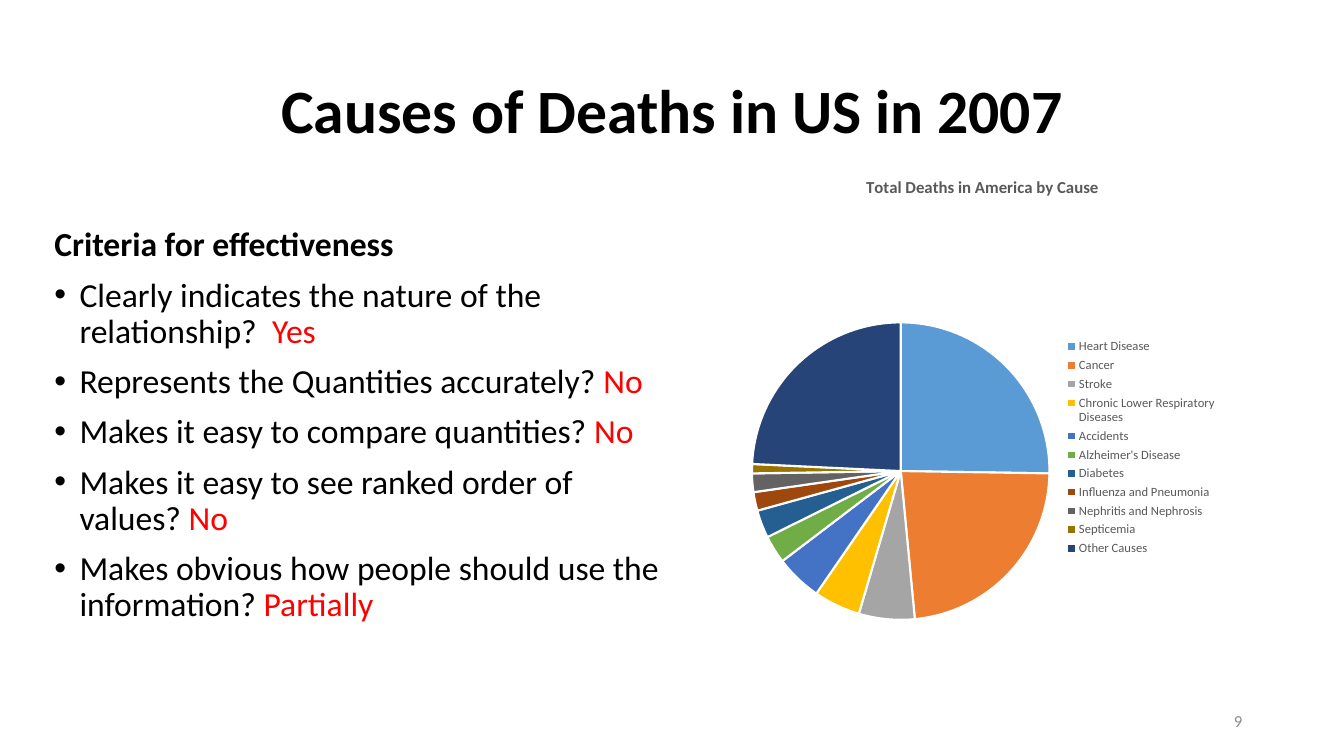
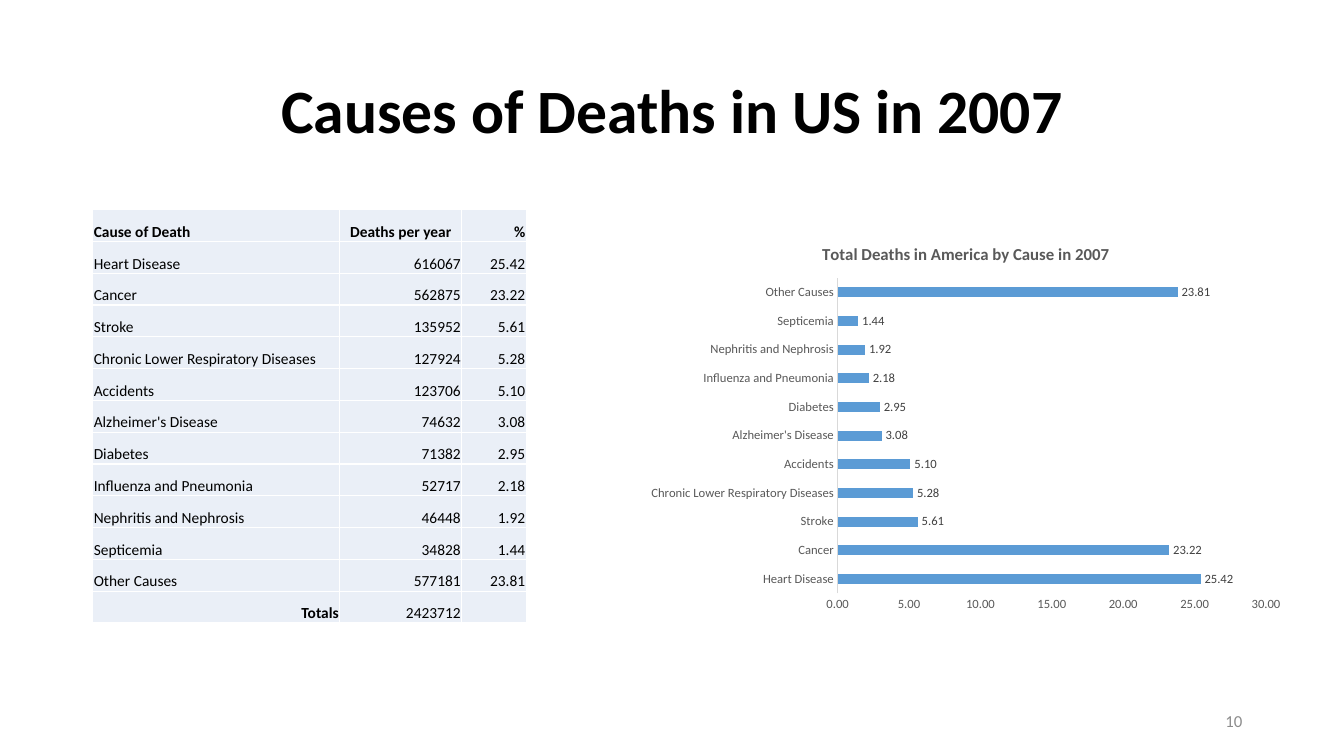
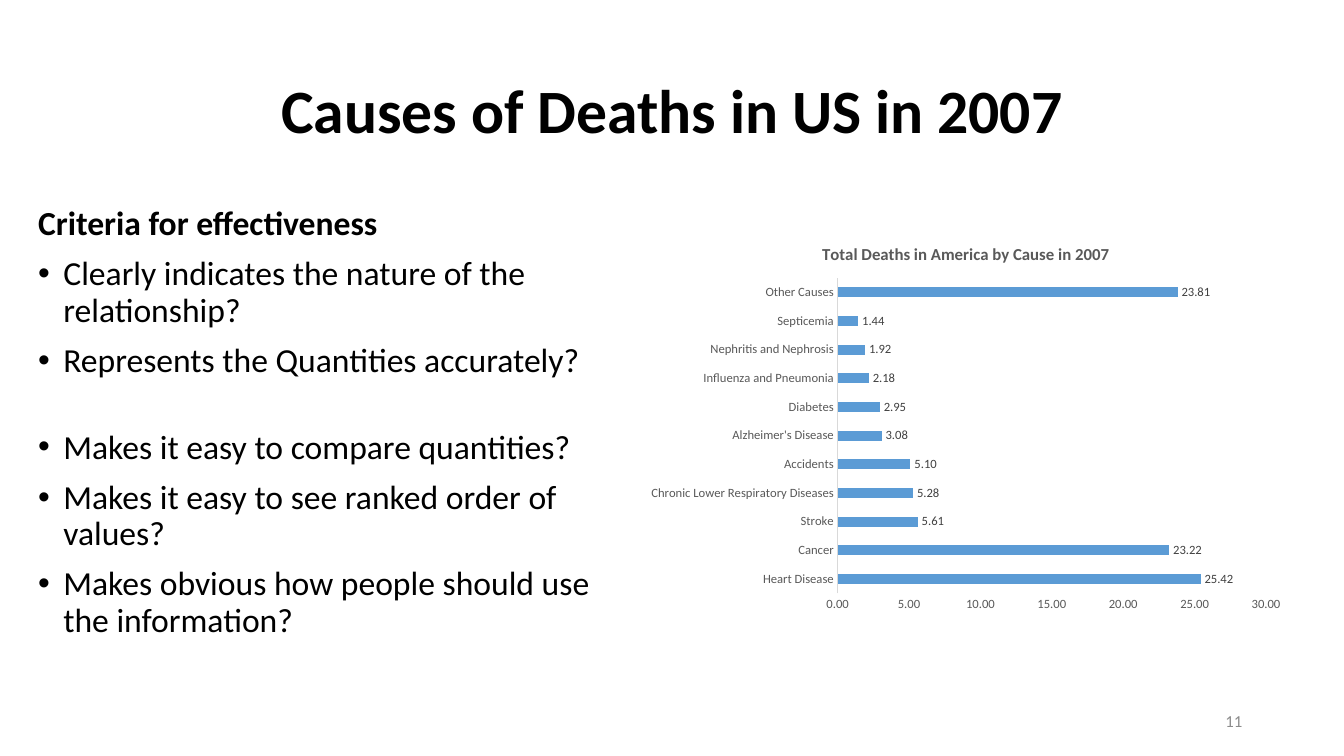
from dataclasses import dataclass

from lxml import etree
from pptx import Presentation
from pptx.chart.data import CategoryChartData
from pptx.dml.color import RGBColor
from pptx.enum.chart import XL_CHART_TYPE, XL_LABEL_POSITION, XL_LEGEND_POSITION, XL_TICK_MARK
from pptx.enum.text import MSO_ANCHOR, MSO_AUTO_SIZE, PP_ALIGN
from pptx.oxml.ns import qn
from pptx.util import Inches, Pt

PIE, BAR = XL_CHART_TYPE.PIE, XL_CHART_TYPE.BAR_CLUSTERED
OUTER = XL_LABEL_POSITION.OUTSIDE_END
SIDE = XL_LEGEND_POSITION.RIGHT
NO_TICK = XL_TICK_MARK.NONE
MIDDLE, BOTTOM = MSO_ANCHOR.MIDDLE, MSO_ANCHOR.BOTTOM
NO_FIT = MSO_AUTO_SIZE.NONE
LEFT, CENTER, RIGHT = PP_ALIGN.LEFT, PP_ALIGN.CENTER, PP_ALIGN.RIGHT


@dataclass(frozen=True)
class Theme:
    face: str = "Calibri"
    ink: str = "000000"
    reply: str = "FF0000"
    page: str = "8C8C8C"
    gray: str = "595959"
    label: str = "404040"
    rule: str = "D9D9D9"
    white: str = "FFFFFF"
    cell: str = "EAEFF7"
    bar: str = "5B9BD5"
    slices: tuple = ("5B9BD5", "ED7D31", "A5A5A5", "FFC000", "4472C4", "70AD47",
                     "255E91", "9E480E", "636363", "997300", "264478")
    title: int = 44
    body: int = 24
    head: int = 12
    foot: int = 12
    grid: int = 11
    chart: int = 10
    small: int = 9


THEME = Theme()
HEAD = "Causes of Deaths in US in 2007"
CAUSES = [
    ("Heart Disease", 616067, 25.42),
    ("Cancer", 562875, 23.22),
    ("Stroke", 135952, 5.61),
    ("Chronic Lower Respiratory Diseases", 127924, 5.28),
    ("Accidents", 123706, 5.10),
    ("Alzheimer's Disease", 74632, 3.08),
    ("Diabetes", 71382, 2.95),
    ("Influenza and Pneumonia", 52717, 2.18),
    ("Nephritis and Nephrosis", 46448, 1.92),
    ("Septicemia", 34828, 1.44),
    ("Other Causes", 577181, 23.81),
]
SHARES = [share for _, _, share in CAUSES]
TESTS = [
    "Clearly indicates the nature of the relationship?",
    "Represents the Quantities accurately?",
    "Makes it easy to compare quantities?",
    "Makes it easy to see ranked order of values?",
    "Makes obvious how people should use the information?",
]
REPLIES = [" Yes", "No", "No", "No", "Partially"]


def apply(item, **values):
    for key, value in values.items():
        setattr(item, key, value)


def style(font, size, color, bold=False):
    apply(font, name=THEME.face, size=Pt(size), bold=bold)
    font.color.rgb = RGBColor.from_string(color)


def paint(fill, color):
    fill.solid()
    fill.fore_color.rgb = RGBColor.from_string(color)


def write(para, text, size, color, bold=False):
    run = para.add_run()
    run.text = text
    style(run.font, size, color, bold)


def place(shape, box):
    sides = ("left", "top", "width", "height")
    apply(shape, **dict(zip(sides, map(Inches, box))))


def add_page(deck, number):
    slide = deck.slides.add_slide(deck.slide_layouts[5])
    title = slide.shapes.title
    place(title, (0.92, 0.4, 11.5, 1.45))
    frame = title.text_frame
    apply(frame, vertical_anchor=MIDDLE, auto_size=NO_FIT, word_wrap=True)
    para = frame.paragraphs[0]
    apply(para, alignment=CENTER, line_spacing=0.9)
    write(para, HEAD, THEME.title, THEME.ink, True)
    frame = add_text(slide, (9.42, 6.95, 3, 0.4))
    frame.vertical_anchor = MIDDLE
    para = frame.paragraphs[0]
    para.alignment = RIGHT
    write(para, str(number), THEME.foot, THEME.page)
    return slide


def add_text(slide, box):
    frame = slide.shapes.add_textbox(*map(Inches, box)).text_frame
    frame.word_wrap = True
    return frame


def add_bullet(para):
    props = para._p.get_or_add_pPr()
    apply_xml = {"marL": Inches(0.25), "indent": Inches(-0.25)}
    for key, value in apply_xml.items():
        props.set(key, str(value))
    etree.SubElement(props, qn("a:buFont"), typeface="Arial")
    etree.SubElement(props, qn("a:buChar"), char="•")


def add_tests(slide, box, replies=None, split=None, gap=None):
    frame = add_text(slide, box)
    para = frame.paragraphs[0]
    para.line_spacing = 0.9
    write(para, "Criteria for effectiveness", THEME.body, THEME.ink, True)
    for i, test in enumerate(TESTS):
        para = frame.add_paragraph()
        add_bullet(para)
        apply(para, line_spacing=0.9, space_before=Pt(10))
        if i == gap:
            para.space_after = Pt(26)
        if i == split:
            start, test = test.rsplit(" ", 1)
            write(para, start + " ", THEME.body, THEME.ink)
            para.add_line_break()
        write(para, test + " " if replies else test, THEME.body, THEME.ink)
        if replies:
            write(para, replies[i], THEME.body, THEME.reply)


def add_chart(slide, box, kind, title, values, form):
    data = CategoryChartData(number_format=form)
    data.categories = [cause for cause, _, _ in CAUSES]
    data.add_series("Series 1", values)
    chart = slide.shapes.add_chart(kind, *map(Inches, box), data).chart
    style(chart.font, THEME.chart, THEME.ink)
    chart.has_title = True
    chart.chart_title.include_in_layout = False
    para = chart.chart_title.text_frame.paragraphs[0]
    write(para, title, THEME.head, THEME.gray, True)
    return chart


def add_pie(slide, box):
    chart = add_chart(slide, box, PIE, "Total Deaths in America by Cause",
                      [round(share) for share in SHARES], "0")
    chart.has_legend = True
    apply(chart.legend, position=SIDE, include_in_layout=False)
    style(chart.legend.font, THEME.small, THEME.gray)
    points = chart.plots[0].series[0].points
    for i, color in enumerate(THEME.slices):
        look = points[i].format
        paint(look.fill, color)
        paint(look.line.fill, THEME.white)
        look.line.width = Pt(1.5)


def add_bars(slide, box):
    chart = add_chart(slide, box, BAR, "Total Deaths in America by Cause in 2007",
                      SHARES, "0.00")
    chart.has_legend = False
    plot = chart.plots[0]
    apply(plot, gap_width=182, vary_by_categories=False, has_data_labels=True)
    paint(plot.series[0].format.fill, THEME.bar)
    labels = plot.data_labels
    apply(labels, show_value=True, position=OUTER,
          number_format="0.00", number_format_is_linked=False)
    style(labels.font, THEME.small, THEME.label)
    for axis in (chart.category_axis, chart.value_axis):
        apply(axis, major_tick_mark=NO_TICK, minor_tick_mark=NO_TICK,
              has_major_gridlines=False)
        style(axis.tick_labels.font, THEME.small, THEME.gray)
    line = chart.category_axis.format.line
    paint(line.fill, THEME.rule)
    line.width = Pt(0.75)
    axis = chart.value_axis
    apply(axis, minimum_scale=0, maximum_scale=30, major_unit=5)
    apply(axis.tick_labels, number_format="0.00", number_format_is_linked=False)
    axis.format.line.fill.background()


def add_edges(cell):
    props = cell._tc.get_or_add_tcPr()
    for i, side in enumerate(("lnL", "lnR", "lnT", "lnB")):
        line = etree.Element(qn("a:" + side), w=str(Pt(1)))
        fill = etree.SubElement(line, qn("a:solidFill"))
        etree.SubElement(fill, qn("a:srgbClr"), val=THEME.white)
        props.insert(i, line)


def add_grid(slide, box):
    rows = [("Cause of Death", "Deaths per year", "%")]
    rows += [(cause, str(count), f"{share:.2f}") for cause, count, share in CAUSES]
    rows.append(("Totals", str(sum(count for _, count, _ in CAUSES)), ""))
    last = len(rows) - 1
    table = slide.shapes.add_table(len(rows), 3, *map(Inches, box)).table
    apply(table, first_row=False, horz_banding=False)
    for column, width in zip(table.columns, (2.45, 1.21, 0.64)):
        column.width = Inches(width)
    edge = Inches(0.01)
    for r, row in enumerate(rows):
        for c, text in enumerate(row):
            cell = table.cell(r, c)
            apply(cell, vertical_anchor=BOTTOM, margin_left=edge,
                  margin_right=edge, margin_top=edge, margin_bottom=0)
            paint(cell.fill, THEME.cell)
            add_edges(cell)
            para = cell.text_frame.paragraphs[0]
            para.alignment = LEFT if c == 0 and r < last else RIGHT
            if (r, c) == (0, 1):
                para.alignment = CENTER
            style(para.font, THEME.grid, THEME.ink)
            if text:
                bold = r == 0 or (r, c) == (last, 0)
                write(para, text, THEME.grid, THEME.ink, bold)


def main():
    deck = Presentation()
    apply(deck, slide_width=Inches(13.33), slide_height=Inches(7.5))
    bars = (6.33, 2.25, 6.5, 3.9)

    slide = add_page(deck, 9)
    add_pie(slide, (7.32, 1.54, 4.85, 5.8))
    add_tests(slide, (0.44, 2.21, 6.69, 4.76), REPLIES, split=3)

    slide = add_page(deck, 10)
    add_grid(slide, (0.92, 2.08, 4.3, 4.1))
    add_bars(slide, bars)

    slide = add_page(deck, 11)
    add_tests(slide, (0.28, 2, 6.08, 4.76), gap=1)
    add_bars(slide, bars)

    deck.save("out.pptx")


if __name__ == "__main__":
    main()
